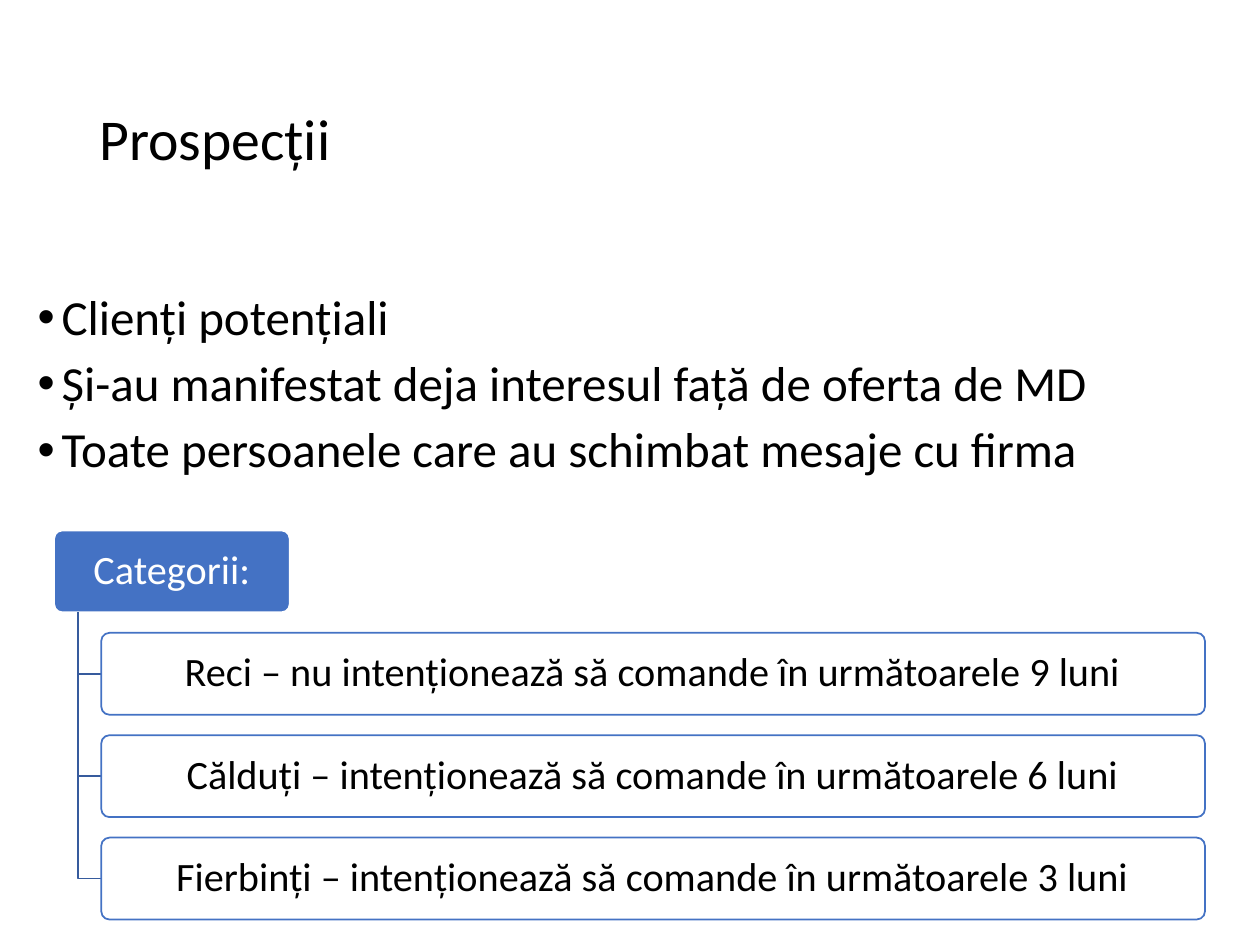
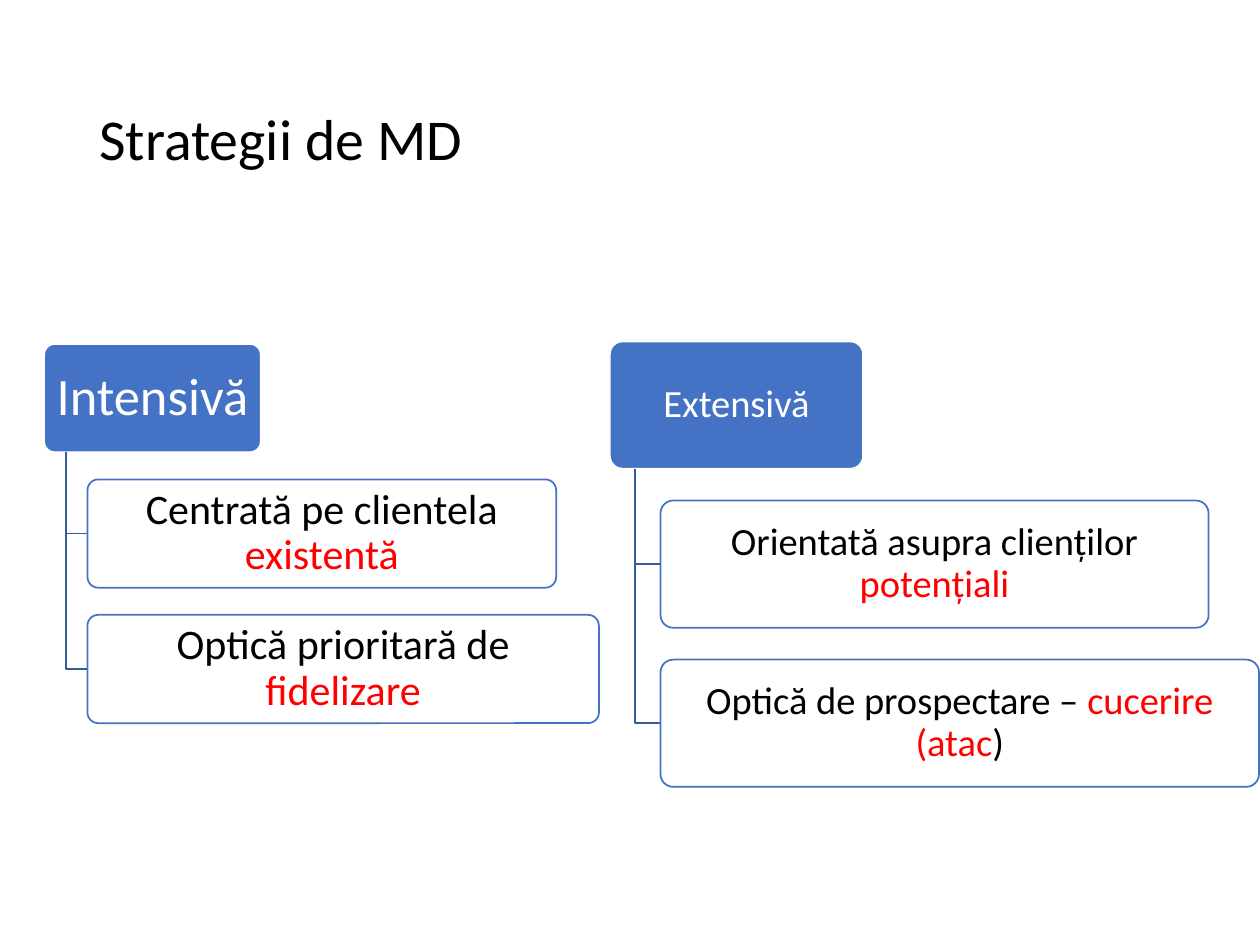
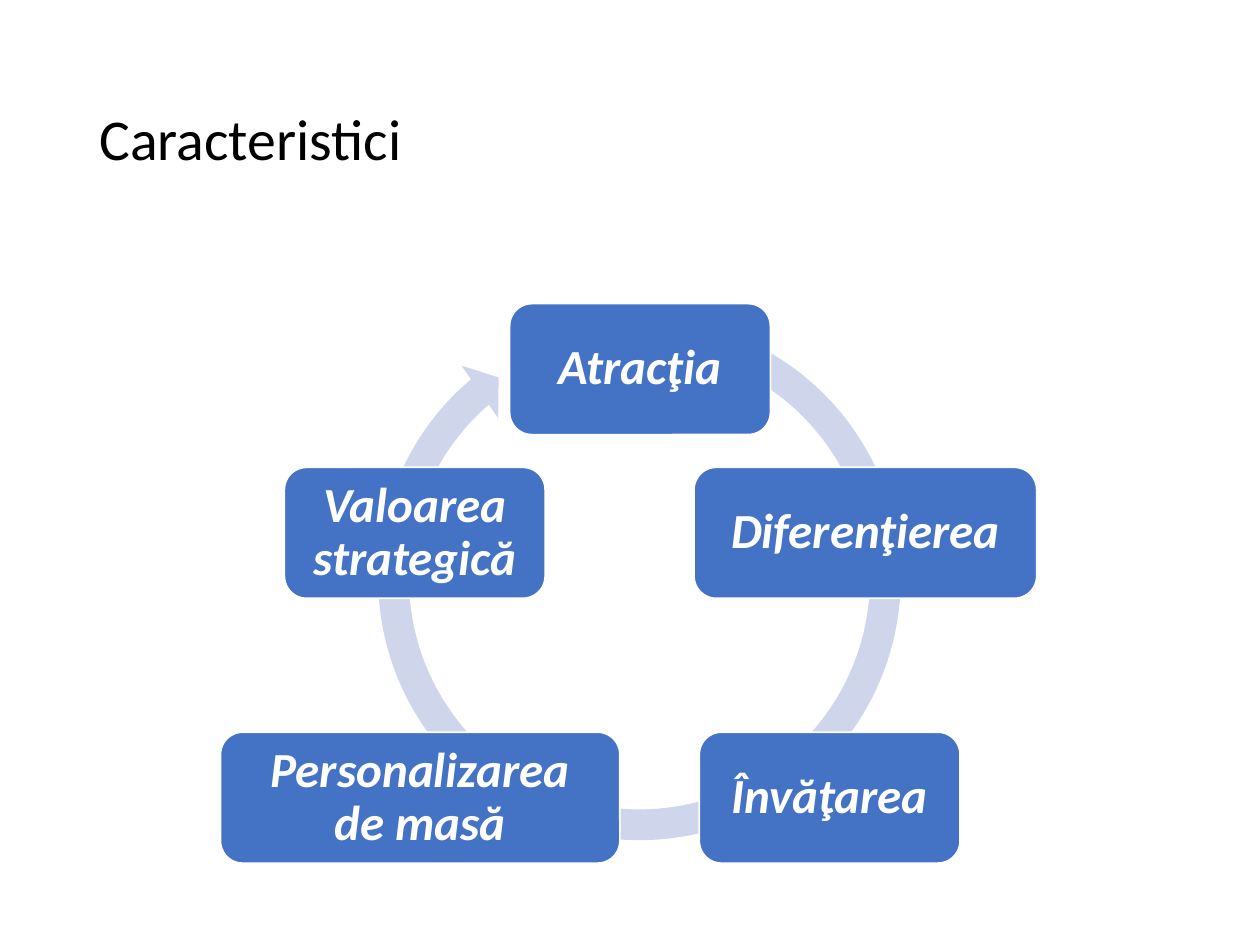
"""Builds three slides on direct marketing: prospects, strategies and characteristics."""
import math

from lxml import etree
from pptx import Presentation
from pptx.dml.color import RGBColor
from pptx.enum import shapes, text
from pptx.oxml.ns import qn
from pptx.util import Inches, Pt

COLORS = {"black": "000000", "white": "FFFFFF", "blue": "4472C4",
          "trunk": "365B9D", "red": "FF0000", "ring": "CFD5EA"}
FONT = "Calibri"

TITLES = ["Prospecții", "Strategii de MD", "Caracteristici"]
TITLE_BOX = (0.69, 0.4, 8.62, 1.45)

BULLETS = [
    "Clienți potențiali",
    "Și-au manifestat deja interesul față de oferta de MD",
    "Toate persoanele care au schimbat mesaje cu firma",
]
BULLET_BOX = (0.2, 2.28, 9.61, 4.42)

CATEGORIES = {
    "root": "Categorii:", "box": (0.43, 4.21, 1.87, 0.65), "root_size": 23, "size": 23,
    "children": [
        (8.76, [("Reci – nu intenționează să comande în următoarele 9 luni", "black")]),
        (8.76, [("Călduți – intenționează să comande în următoarele 6 luni", "black")]),
        (8.76, [("Fierbinți – intenționează să comande în următoarele 3 luni", "black")]),
    ],
}
STRATEGIES = [
    {
        "root": "Intensivă", "box": (0.35, 2.73, 1.72, 0.86), "root_size": 30, "size": 24,
        "children": [
            (3.72, [("Centrată pe clientela ", "black"), ("existentă", "red")]),
            (4.06, [("Optică prioritară de ", "black"), ("fidelizare", "red")]),
        ],
    },
    {
        "root": "Extensivă", "box": (4.84, 2.71, 2.01, 1.01), "root_size": 22, "size": 22,
        "children": [
            (4.35, [("Orientată asupra clienților ", "black"), ("potențiali", "red")]),
            (4.75, [("Optică de prospectare – ", "black"), ("cucerire (atac", "red"),
                    (")", "black")]),
        ],
    },
]

# label, width, sideways shift from the regular place on the ring
CYCLE = [
    ("Atracţia", 2.07, 0),
    ("Diferenţierea", 2.72, 0),
    ("Învăţarea", 2.07, 0.4),
    ("Personalizarea de masă", 3.17, -0.64),
    ("Valoarea strategică", 2.07, 0),
]
CYCLE_CENTER, CYCLE_RADIUS, CYCLE_HEIGHT = (5.08, 4.81), 1.88, 1.04
RING_BOX = (2.87, 2.39, 4.41, 4.41)
RING_ADJUST = (0.05544, 3.3068, 137.721, 173.883, 0.05757)


def rgb(name):
    return RGBColor.from_string(COLORS[name])


def inches(values):
    return [Inches(v) for v in values]


def write(p, runs, size, **font):
    p.line_spacing = 0.9
    for words, color in runs:
        r = p.add_run()
        r.text = words
        r.font.color.rgb = rgb(color)
        for name, value in {"name": FONT, "size": Pt(size), **font}.items():
            setattr(r.font, name, value)


def add_textbox(s, box):
    tf = s.shapes.add_textbox(*inches(box)).text_frame
    tf.word_wrap = True
    return tf


def add_bullets(s):
    tf = add_textbox(s, BULLET_BOX)
    for i, words in enumerate(BULLETS):
        p = tf.paragraphs[0] if i == 0 else tf.add_paragraph()
        write(p, [(words, "black")], 28)
        p.space_before = Pt(7.5)
        pPr = p._p.get_or_add_pPr()
        pPr.set("marL", str(Inches(0.19)))
        pPr.set("indent", str(-Inches(0.19)))
        etree.SubElement(pPr, qn("a:buFont")).set("typeface", "Arial")
        etree.SubElement(pPr, qn("a:buChar")).set("char", "•")


def add_shape(s, kind, box, fill, line=None, adjust=()):
    sp = s.shapes.add_shape(kind, *inches(box))
    sp.shadow.inherit = False
    sp.fill.solid()
    sp.fill.fore_color.rgb = rgb(fill)
    if line:
        sp.line.color.rgb = rgb(line)
        sp.line.width = Pt(1)
    else:
        sp.line.fill.background()
    for i, value in enumerate(adjust):
        sp.adjustments[i] = value
    return sp


def add_card(s, box, runs, size, fill, line, corner, insets, **font):
    kind = shapes.MSO_SHAPE.ROUNDED_RECTANGLE
    tf = add_shape(s, kind, box, fill, line, [corner]).text_frame
    side, end = inches(insets)
    frame = {"margin_left": side, "margin_right": side, "margin_top": end,
             "margin_bottom": end, "word_wrap": True,
             "vertical_anchor": text.MSO_ANCHOR.MIDDLE}
    for name, value in frame.items():
        setattr(tf, name, value)
    p = tf.paragraphs[0]
    p.alignment = text.PP_ALIGN.CENTER
    write(p, runs, size, **font)


def add_elbow(s, x, top, bottom, right):
    x, top, bottom, right = inches((x, top, bottom, right))
    fb = s.shapes.build_freeform(x, top)
    fb.add_line_segments([(x, bottom), (right, bottom)], close=False)
    sp = fb.convert_to_shape()
    sp.shadow.inherit = False
    sp.fill.background()
    sp.line.color.rgb = rgb("trunk")
    sp.line.width = Pt(1)


def add_tree(s, tree):
    x, y, w, h = tree["box"]
    style = {"corner": 0.1, "insets": (0.05, 0.03)}
    add_card(s, tree["box"], [(tree["root"], "white")], tree["root_size"],
             "blue", "white", **style)
    child_x = x + 0.2 * w
    for i, (width, runs) in enumerate(tree["children"], 1):
        child_y = y + 1.25 * h * i
        add_elbow(s, x + 0.1 * w, y + h, child_y + h / 2, child_x)
        add_card(s, (child_x, child_y, width, h), runs, tree["size"],
                 "white", "blue", **style)


def add_cycle(s):
    add_shape(s, shapes.MSO_SHAPE.CIRCULAR_ARROW, RING_BOX, "ring", adjust=RING_ADJUST)
    cx, cy = CYCLE_CENTER
    for i, (label, width, shift) in enumerate(CYCLE):
        angle = 2 * math.pi * i / len(CYCLE)
        x = cx + CYCLE_RADIUS * math.sin(angle) + shift - width / 2
        y = cy - CYCLE_RADIUS * math.cos(angle) - CYCLE_HEIGHT / 2
        add_card(s, (x, y, width, CYCLE_HEIGHT), [(label, "white")], 28, "blue", "white",
                 corner=0.17, insets=(0.12, 0.12), bold=True, italic=True)


def add_slide(prs, title):
    s = prs.slides.add_slide(prs.slide_layouts[6])
    tf = add_textbox(s, TITLE_BOX)
    tf.vertical_anchor = text.MSO_ANCHOR.MIDDLE
    write(tf.paragraphs[0], [(title, "black")], 33)
    return s


def main():
    prs = Presentation()
    prs.slide_width, prs.slide_height = Inches(10), Inches(7.5)
    prospects, strategies, traits = [add_slide(prs, title) for title in TITLES]
    add_bullets(prospects)
    add_tree(prospects, CATEGORIES)
    for tree in STRATEGIES:
        add_tree(strategies, tree)
    add_cycle(traits)
    prs.save("out.pptx")


if __name__ == "__main__":
    main()
